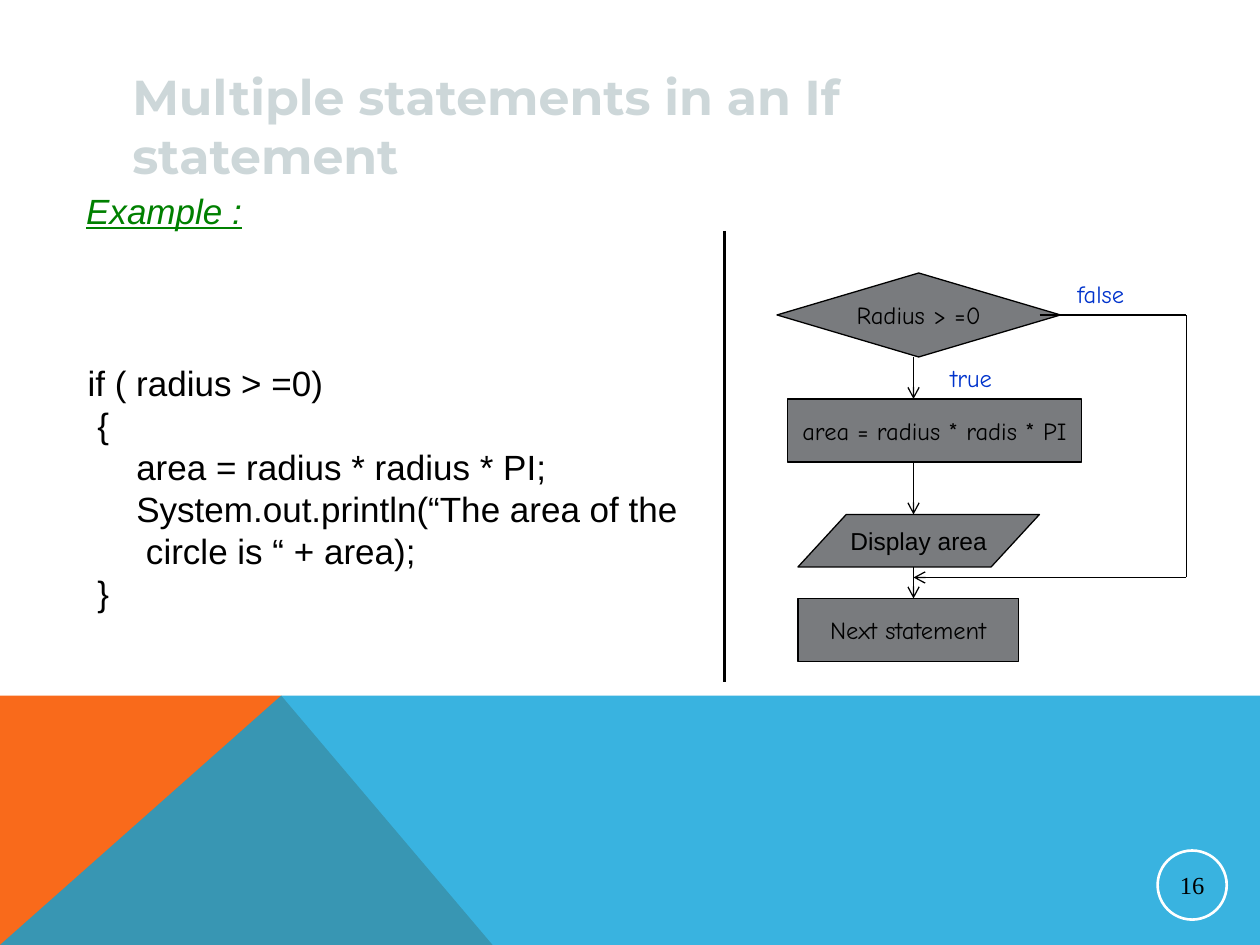
from lxml.etree import SubElement
from pptx import Presentation
from pptx.dml.color import RGBColor
from pptx.enum.shapes import MSO_CONNECTOR, MSO_SHAPE as Shape
from pptx.enum.text import MSO_ANCHOR as Anchor, PP_ALIGN as Align
from pptx.oxml.ns import qn
from pptx.util import Pt

BLACK = RGBColor(0x00, 0x00, 0x00)
WHITE = RGBColor(0xFF, 0xFF, 0xFF)
ORANGE = RGBColor(0xF9, 0x6A, 0x1B)
SKY = RGBColor(0x08, 0xA1, 0xD9)
GRAY = RGBColor(0x79, 0x7B, 0x7E)
PALE = RGBColor(0xCD, 0xD7, 0xD9)
GREEN = RGBColor(0x00, 0x80, 0x00)
BLUE = RGBColor(0x00, 0x33, 0xCC)


def write(shape, text, size, font, color, align=Align.LEFT, anchor=Anchor.TOP, wrap=False):
    frame = shape.text_frame
    frame.text = text
    frame.word_wrap = wrap
    frame.vertical_anchor = anchor
    for paragraph in frame.paragraphs:
        paragraph.alignment = align
        for run in paragraph.runs:
            run.font.size = Pt(size)
            run.font.name = font
            run.font.color.rgb = color
    return frame


def connect(x1, y1, x2, y2, width=0.75, arrow=False):
    line = slide.shapes.add_connector(MSO_CONNECTOR.STRAIGHT, Pt(x1), Pt(y1), Pt(x2), Pt(y2))
    line.line.color.rgb = BLACK
    line.line.width = Pt(width)
    if arrow:
        SubElement(line.line._get_or_add_ln(), qn("a:tailEnd"), type="arrow")
    SubElement(line._element.spPr, qn("a:effectLst"))


deck = Presentation()
deck.slide_width, deck.slide_height = Pt(720), Pt(540)
slide = deck.slides.add_slide(deck.slide_layouts[6])
shapes = slide.shapes

# Coloured band at the foot; the blue part lets the orange show through
for color, corners in [
    (ORANGE, [(0, 540), (0, 397.5), (160.7, 397.5), (281.5, 540)]),
    (SKY, [(0, 540), (160.7, 397.5), (720, 397.5), (720, 540)]),
]:
    (start_x, start_y), *rest = [(Pt(x), Pt(y)) for x, y in corners]
    outline = shapes.build_freeform(start_x, start_y)
    outline.add_line_segments(rest, close=True)
    band = outline.convert_to_shape()
    band.shadow.inherit = False
    band.fill.solid()
    band.fill.fore_color.rgb = color
    band.line.fill.background()
sky_color = band._element.spPr.find(qn("a:solidFill")).find(qn("a:srgbClr"))
SubElement(sky_color, qn("a:alpha"), val="80000")

# Slide number in a ring
ring = shapes.add_shape(Shape.OVAL, Pt(661.5), Pt(486), Pt(39.5), Pt(39.5))
ring.shadow.inherit = False
ring.fill.background()
ring.line.color.rgb = WHITE
ring.line.width = Pt(1.5)
number = write(ring, "16", 14, "Times New Roman", BLACK, Align.CENTER, Anchor.MIDDLE)
number.margin_left = number.margin_right = Pt(1)
number.margin_top = number.margin_bottom = Pt(1)

# Title and heading
title = shapes.add_textbox(Pt(68.5), Pt(34.5), Pt(564.5), Pt(41))
title_text = write(title, "Multiple statements in an If statement", 28, "Montserrat", PALE, wrap=True)
title_text.paragraphs[0].runs[0].font.bold = True

heading = shapes.add_textbox(Pt(42), Pt(104.5), Pt(103.5), Pt(31.5))
heading_text = write(heading, "Example :", 20, "Arial", GREEN, Align.CENTER, Anchor.MIDDLE)
heading_font = heading_text.paragraphs[0].runs[0].font
heading_font.italic = heading_font.underline = True

# Code, each line with its indent in characters
CHARACTER = 5.56
code_lines = [
    (0, "if ( radius > =0)"),
    (1, "{"),
    (5, "area = radius * radius * PI;"),
    (5, "System.out.println(“The area of the"),
    (6, "circle is “ + area);"),
    (1, "}"),
]
code = shapes.add_textbox(Pt(43), Pt(202.8), Pt(352), Pt(151.5))
code_text = write(code, "\n".join(text for _, text in code_lines), 20, "Arial", BLACK)
for paragraph, (indent, _) in zip(code_text.paragraphs, code_lines):
    paragraph._p.get_or_add_pPr().set("marL", str(Pt(indent * CHARACTER)))

# Divider between code and flowchart
connect(414, 132, 414, 390, width=2.25)

# Flowchart steps
for kind, left, top, width, height, text, font in [
    (Shape.FLOWCHART_DECISION, 444, 156, 162, 48, "Radius > =0", "Comic Neue"),
    (Shape.FLOWCHART_PROCESS, 450, 228, 168, 36, "area = radius * radis * PI", "Comic Neue"),
    (Shape.FLOWCHART_DATA, 456, 294, 138, 30, "Display area", "Arial"),
    (Shape.FLOWCHART_PROCESS, 456, 342, 126, 36, "Next statement", "Comic Neue"),
]:
    step = shapes.add_shape(kind, Pt(left), Pt(top), Pt(width), Pt(height))
    step.shadow.inherit = False
    step.fill.solid()
    step.fill.fore_color.rgb = GRAY
    step.line.color.rgb = BLACK
    step.line.width = Pt(0.75)
    write(step, text, 14, font, BLACK, Align.CENTER, Anchor.MIDDLE)

# Arrows down the true branch
FLOW_X, BYPASS_X = 522, 678
for start, end in [(204, 228), (264, 294), (324, 342)]:
    connect(FLOW_X, start, FLOW_X, end, arrow=True)

# False branch around the steps
connect(594, 180, BYPASS_X, 180)
connect(BYPASS_X, 180, BYPASS_X, 330)
connect(BYPASS_X, 330, FLOW_X, 330, arrow=True)

# Branch labels
for text, left, top, width in [("false", 608.5, 156, 41), ("true", 536, 204, 38)]:
    label = shapes.add_textbox(Pt(left), Pt(top), Pt(width), Pt(24.5))
    write(label, text, 14, "Comic Neue", BLUE)

deck.save("out.pptx")
